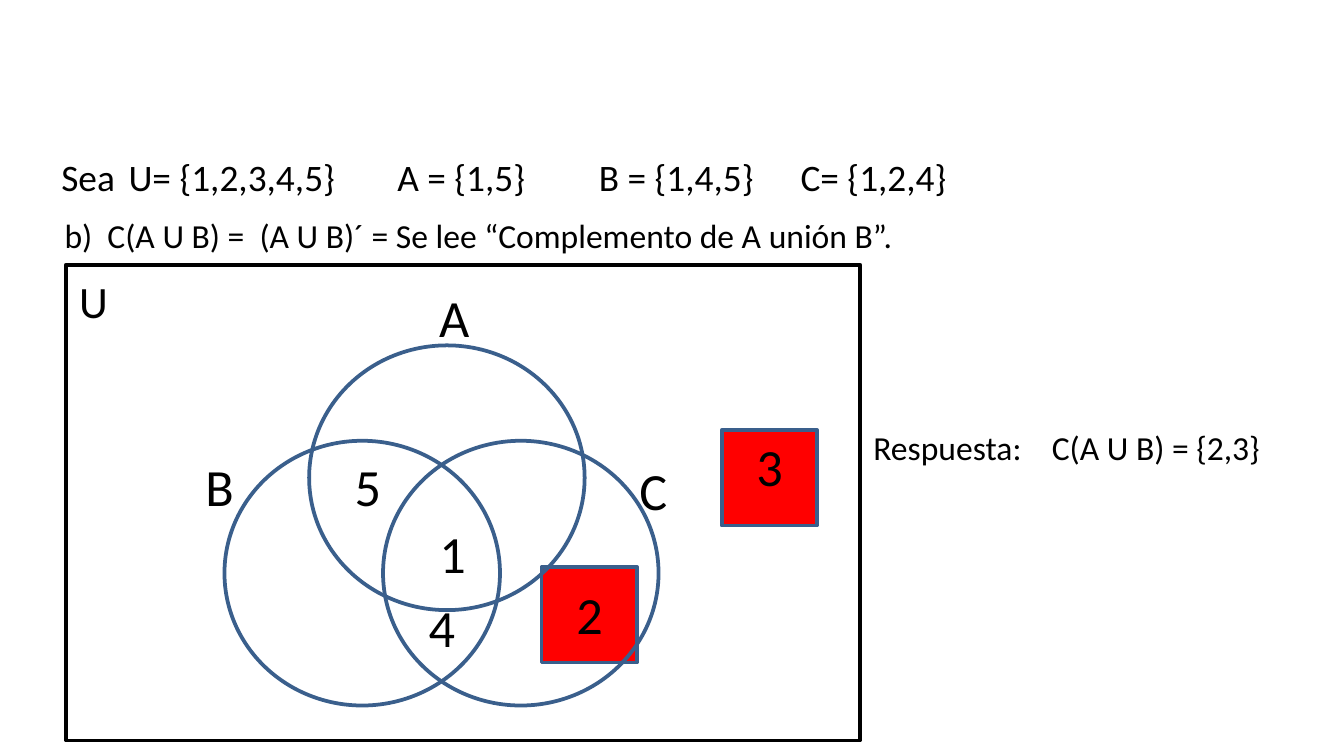
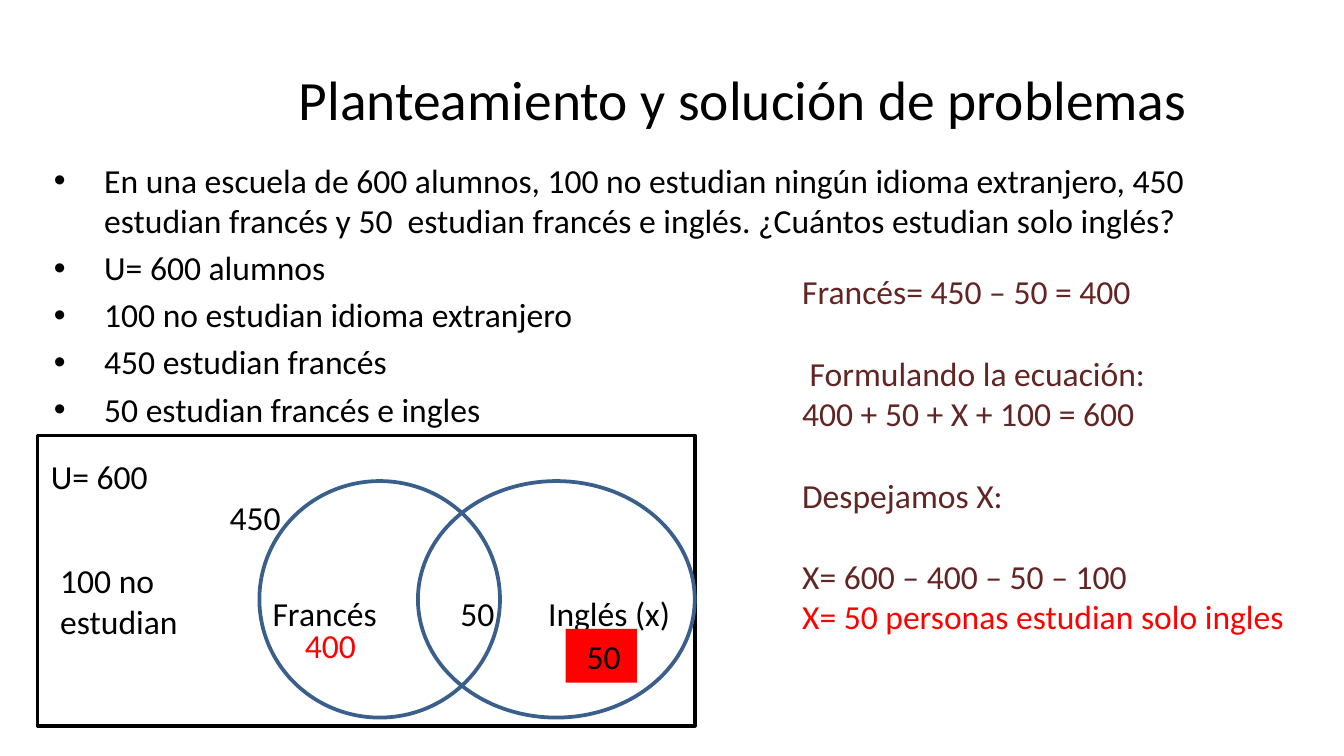
from lxml import etree
from pptx import Presentation
from pptx.dml.color import RGBColor
from pptx.enum.shapes import MSO_SHAPE
from pptx.enum.text import MSO_ANCHOR, MSO_AUTO_SIZE, PP_ALIGN
from pptx.oxml.ns import qn
from pptx.util import Pt

RECT, OVAL = MSO_SHAPE.RECTANGLE, MSO_SHAPE.OVAL
TOP = MSO_ANCHOR.TOP
LEFT, CENTER = PP_ALIGN.LEFT, PP_ALIGN.CENTER
NO_FIT, GROW = MSO_AUTO_SIZE.NONE, MSO_AUTO_SIZE.SHAPE_TO_FIT_TEXT

PX = 9144  # 100 px to the inch
DECK_WIDTH = 1000  # 16:9 page
FONT = "Calibri"
COLORS = {"ink": "000000", "outline": "3A5F8C", "answer": "FF0000", "steps": "632523"}
BODY_SIZE, LABEL_SIZE = 18, 28
LINE_GAP = 22  # one line of body text, in points

# Content: boxes are (left, top, width, height) in px
SETS = {
    "title": "Sea \tU= {1,2,3,4,5}\tA = {1,5}\t\tB = {1,4,5} \tC= {1,2,4}",
    "title_box": (-24, 77, 798, 123),
    "question": ["b)  C(A U B) =  (A U B)´ = Se lee “Complemento de A unión B”."],
    "question_box": (38, 155, 900, 77),
    "universe": (49, 197, 591, 354),
    "answer_squares": [(537, 320), (403, 422)],
    "square_side": 71,
    "circles": [(230, 257), (167, 328), (285, 328)],
    "circle_size": (205, 197),
    "labels": [
        ("1", 317, 383, 32), ("5", 254, 333, 39), ("4", 309, 438, 41),
        ("2", 419, 428, 39), ("A", 317, 207, 47), ("B", 143, 333, 44),
        ("C", 466, 336, 46), ("3", 553, 318, 38),
    ],
    "label_height": 57,
    "result": "Respuesta:    C(A U B) = {2,3}",
    "result_box": (640, 313, 315, 40),
}

PROBLEM = {
    "title": "Planteamiento y solución de problemas",
    "title_box": (184, 53, 738, 77),
    "facts": [
        "En una escuela de 600 alumnos, 100 no estudian ningún idioma extranjero, "
        "450 estudian francés y 50  estudian francés e inglés. "
        "¿Cuántos estudian solo inglés?",
        "U= 600 alumnos",
        "100 no estudian idioma extranjero",
        "450 estudian francés",
        "50 estudian francés e ingles",
    ],
    "facts_box": (30, 114, 900, 250),
    "universe": (28, 324, 489, 216),
    "ovals": [(193, 358, 179, 176), (311, 358, 206, 176)],
    "labels": [
        ("450", (161, 365, 79, 40), "ink"),
        (" 50", (327, 436, 79, 40), "ink"),
        ("Francés", (193, 436, 99, 40), "ink"),
        ("Inglés (x)", (398, 436, 119, 40), "ink"),
        ("U= 600", (28, 334, 99, 40), "ink"),
        ("100 no estudian", (35, 412, 126, 71), "ink"),
        ("400", (217, 460, 79, 40), "answer"),
    ],
    "answer": " 50",
    "answer_box": (421, 468, 53, 40),
    # (text, lines of space above, colour)
    "steps": [
        ("Francés= 450 – 50 = 400", 0, "steps"),
        (" Formulando la ecuación:", 1, "steps"),
        ("400 + 50 + X + 100 = 600", 0, "steps"),
        ("Despejamos X:", 1, "steps"),
        ("X= 600 – 400 – 50 – 100", 1, "steps"),
        ("X= 50 personas estudian solo ingles", 0, "answer"),
    ],
    "steps_box": (587, 197, 413, 283),
}


def emu(box):
    return [length * PX for length in box]


def rgb(name):
    return RGBColor.from_string(COLORS[name])


def write(para, text, size=BODY_SIZE, color="ink", align=LEFT):
    para.alignment = align
    span = para.add_run()
    span.text = text
    span.font.name = FONT
    span.font.size = Pt(size)
    span.font.color.rgb = rgb(color)


def next_para(frame, index):
    return frame.paragraphs[0] if index == 0 else frame.add_paragraph()


def place(holder, box):
    """Move a placeholder and return its text frame, ready to fill."""
    holder.left, holder.top, holder.width, holder.height = emu(box)
    frame = holder.text_frame
    frame.auto_size = NO_FIT
    frame.word_wrap = True
    frame.vertical_anchor = TOP
    return frame


def add_title(page, text, box, size):
    frame = place(page.shapes.title, box)
    write(frame.paragraphs[0], text, size=size, align=CENTER)
    return frame


def add_list(page, items, box):
    frame = place(page.placeholders[1], box)
    for index, item in enumerate(items):
        write(next_para(frame, index), item)
    return frame


def add_outline(shapes, kind, box, line=None, fill=None):
    shape = shapes.add_shape(kind, *emu(box))
    shape.shadow.inherit = False
    if fill:
        shape.fill.solid()
        shape.fill.fore_color.rgb = rgb(fill)
    else:
        shape.fill.background()
    if line:
        shape.line.color.rgb = rgb(line)
        shape.line.width = Pt(2)
    else:
        shape.line.fill.background()
    return shape


def add_label(page, text, box, wrap=True, **style):
    frame = page.shapes.add_textbox(*emu(box)).text_frame
    frame.word_wrap = wrap
    frame.auto_size = GROW
    write(frame.paragraphs[0], text, **style)


def build_sets(page):
    # Set definitions and question
    frame = add_title(page, SETS["title"], SETS["title_box"], size=20)
    frame.margin_top = 38 * PX
    frame = add_list(page, SETS["question"], SETS["question_box"])
    etree.SubElement(frame.paragraphs[0]._p.get_or_add_pPr(), qn("a:buNone"))

    # Venn diagram
    side = SETS["square_side"]
    for corner in SETS["answer_squares"]:
        add_outline(page.shapes, RECT, (*corner, side, side), "outline", "answer")
    circles = page.shapes.add_group_shape()
    for corner in SETS["circles"]:
        add_outline(circles.shapes, OVAL, (*corner, *SETS["circle_size"]), "outline")
    universe = add_outline(page.shapes, RECT, SETS["universe"], "ink")
    frame = universe.text_frame
    frame.vertical_anchor = TOP
    frame.margin_top = 7 * PX
    write(frame.paragraphs[0], "U", size=24)
    for text, left, top, width in SETS["labels"]:
        box = (left, top, width, SETS["label_height"])
        add_label(page, text, box, wrap=False, size=LABEL_SIZE)

    # Result
    add_label(page, SETS["result"], SETS["result_box"])


def build_problem(page):
    # Title and facts
    frame = add_title(page, PROBLEM["title"], PROBLEM["title_box"], size=29.7)
    frame.paragraphs[0].line_spacing = 0.8
    add_list(page, PROBLEM["facts"], PROBLEM["facts_box"])

    # Venn diagram
    add_outline(page.shapes, RECT, PROBLEM["universe"], "ink")
    for box in PROBLEM["ovals"]:
        add_outline(page.shapes, OVAL, box, "outline")
    for text, box, color in PROBLEM["labels"]:
        add_label(page, text, box, color=color)
    answer = add_outline(page.shapes, RECT, PROBLEM["answer_box"], fill="answer")
    answer.text_frame.word_wrap = True
    answer.text_frame.vertical_anchor = TOP
    write(answer.text_frame.paragraphs[0], PROBLEM["answer"])

    # Steps of the solution
    frame = page.shapes.add_textbox(*emu(PROBLEM["steps_box"])).text_frame
    frame.word_wrap = True
    frame.auto_size = GROW
    for index, (text, gap, color) in enumerate(PROBLEM["steps"]):
        para = next_para(frame, index)
        para.space_before = Pt(gap * LINE_GAP)
        write(para, text, color=color)


def main():
    deck = Presentation()
    deck.slide_width = DECK_WIDTH * PX
    deck.slide_height = deck.slide_width * 9 // 16
    for build in (build_sets, build_problem):
        build(deck.slides.add_slide(deck.slide_layouts[1]))
    deck.save("out.pptx")


if __name__ == "__main__":
    main()
